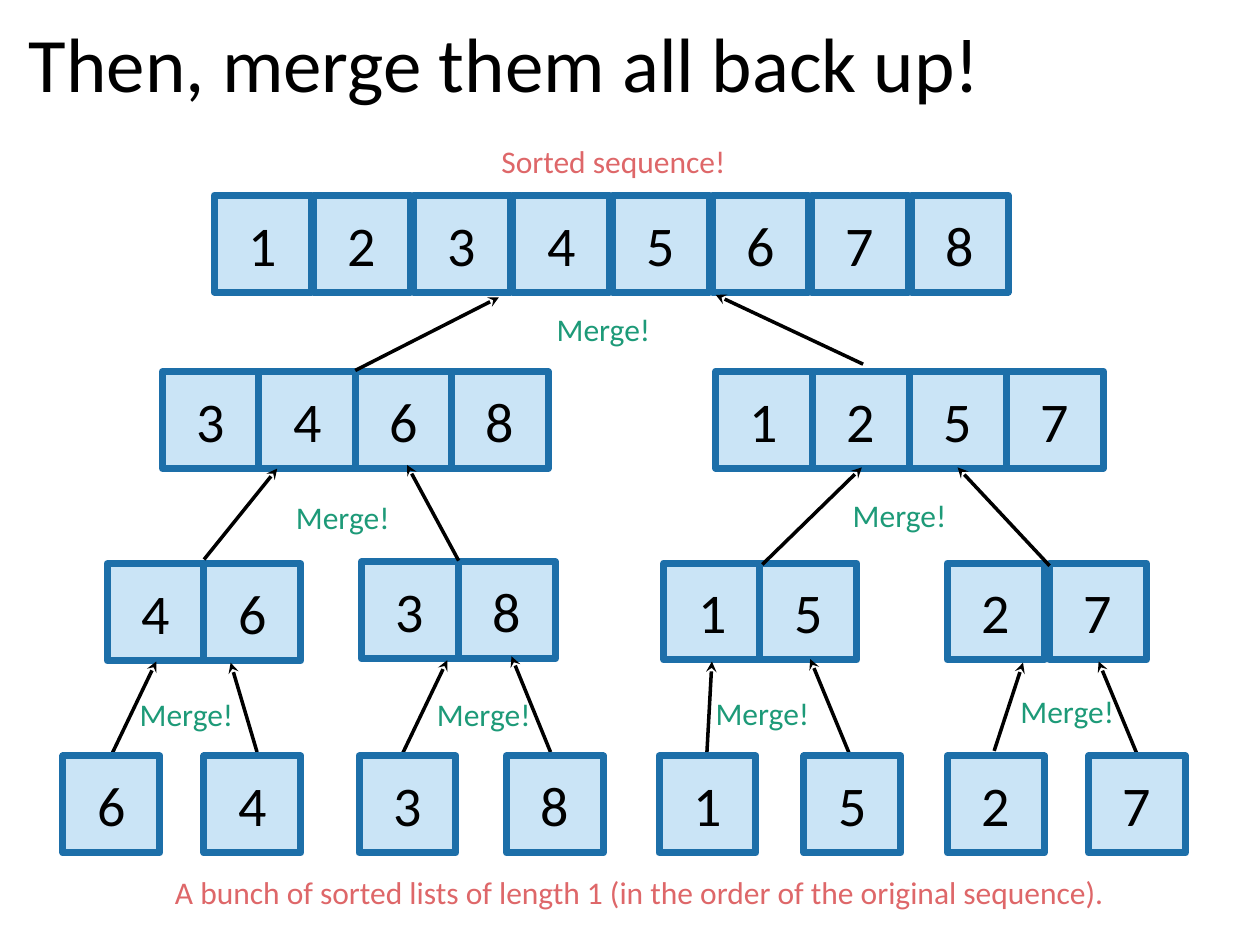
from lxml.etree import SubElement
from pptx import Presentation
from pptx.dml.color import RGBColor
from pptx.enum.shapes import MSO_CONNECTOR as CONN, MSO_SHAPE as SHAPE
from pptx.enum.text import MSO_ANCHOR as ANCHOR, PP_ALIGN as ALIGN
from pptx.oxml.ns import qn
from pptx.util import Pt

BLACK = RGBColor(0x00, 0x00, 0x00)
CELL_FILL = RGBColor(0xCA, 0xE4, 0xF6)
CELL_LINE = RGBColor(0x1D, 0x6F, 0xA9)
GREEN = RGBColor(0x1D, 0x9A, 0x78)
RED = RGBColor(0xDE, 0x67, 0x69)

FONT = "Calibri"
CELL = 55.4
LABEL_H = 28.8

# (left, top, step between cells, digits)
LISTS = [
    (122.4, 111.6, 56.9, "12345678"),
    (92.9, 212.4, 55, "3468"),
    (409, 212.2, 55.4, "1257"),
    (61.2, 322.2, 55.4, "46"),
    (206.6, 321.1, 55.4, "38"),
    (379.4, 321.8, 54.9, "15"),
    (541.4, 321.8, 58.3, "27"),
]
SINGLES_TOP = 432
SINGLES = zip((36, 116.6, 205.2, 289.4, 376.6, 459.4, 541.4, 622.1), "64381527")

# (x, y) of the start, then of the head
ARROWS = [
    (203, 211.7, 285.1, 169.9),
    (493.2, 208.1, 409, 168.5),
    (116.6, 319.7, 158.4, 267.8),
    (262.1, 320.4, 232.6, 265.7),
    (435.6, 322.6, 492.5, 267.1),
    (599.8, 323.3, 547.2, 267.1),
    (63.4, 432, 89.3, 378),
    (146.9, 429.8, 131.8, 378.7),
    (229.7, 431.3, 255.6, 377.3),
    (314.6, 429.8, 292.3, 375.1),
    (403.9, 431.3, 406.8, 378),
    (485.3, 430.6, 463, 376.6),
    (568.1, 429.1, 584.6, 378.7),
    (650.2, 432, 627.8, 378),
]
MERGE_LABELS = [
    (311, 173.5),
    (162, 280.8), (480.2, 280.1),
    (72.7, 393.8), (242.6, 393.8), (401.8, 393.1), (576, 391.7),
]


def write(shape, text, size=18, color=BLACK, align=ALIGN.LEFT,
          anchor=ANCHOR.TOP, spacing=None):
    tf = shape.text_frame
    tf.word_wrap = True
    tf.vertical_anchor = anchor
    p = tf.paragraphs[0]
    p.alignment = align
    p.line_spacing = spacing
    r = p.add_run()
    r.text = text
    r.font.name = FONT
    r.font.size = Pt(size)
    r.font.color.rgb = color


def add_label(s, text, left, top, width, height=LABEL_H, **fmt):
    box = s.shapes.add_textbox(Pt(left), Pt(top), Pt(width), Pt(height))
    write(box, text, **fmt)


def add_cell(s, left, top, digit):
    sp = s.shapes.add_shape(SHAPE.RECTANGLE, Pt(left), Pt(top), Pt(CELL), Pt(CELL))
    sp.shadow.inherit = False
    sp.fill.solid()
    sp.fill.fore_color.rgb = CELL_FILL
    sp.line.color.rgb = CELL_LINE
    sp.line.width = Pt(4)
    write(sp, digit, size=32, align=ALIGN.CENTER, anchor=ANCHOR.MIDDLE)


def add_list(s, left, top, step, digits):
    for i, digit in enumerate(digits):
        add_cell(s, left + i * step, top, digit)


def add_arrow(s, *ends):
    line = s.shapes.add_connector(CONN.STRAIGHT, *map(Pt, ends))
    line.line.color.rgb = BLACK
    line.line.width = Pt(2)
    SubElement(line.line._get_or_add_ln(), qn("a:tailEnd"), type="stealth")
    SubElement(line._element.spPr, qn("a:effectLst"))


def main():
    prs = Presentation()
    prs.slide_width, prs.slide_height = Pt(720), Pt(540)
    s = prs.slides.add_slide(prs.slide_layouts[6])

    add_label(s, "Then, merge them all back up!", 9.4, 5, 620.6, 67,
              size=44, anchor=ANCHOR.MIDDLE, spacing=0.9)
    for row in LISTS:
        add_list(s, *row)
    for arrow in ARROWS:
        add_arrow(s, *arrow)
    for left, top in MERGE_LABELS:
        add_label(s, "Merge!", left, top, 80.6, color=GREEN)
    for left, digit in SINGLES:
        add_cell(s, left, SINGLES_TOP, digit)
    add_label(s, "A bunch of sorted lists of length 1 (in the order of the original sequence).",
              92.9, 495.4, 577.4, color=RED)
    add_label(s, "Sorted sequence!", 279.4, 77.8, 154.8, color=RED)

    prs.save("out.pptx")


if __name__ == "__main__":
    main()
